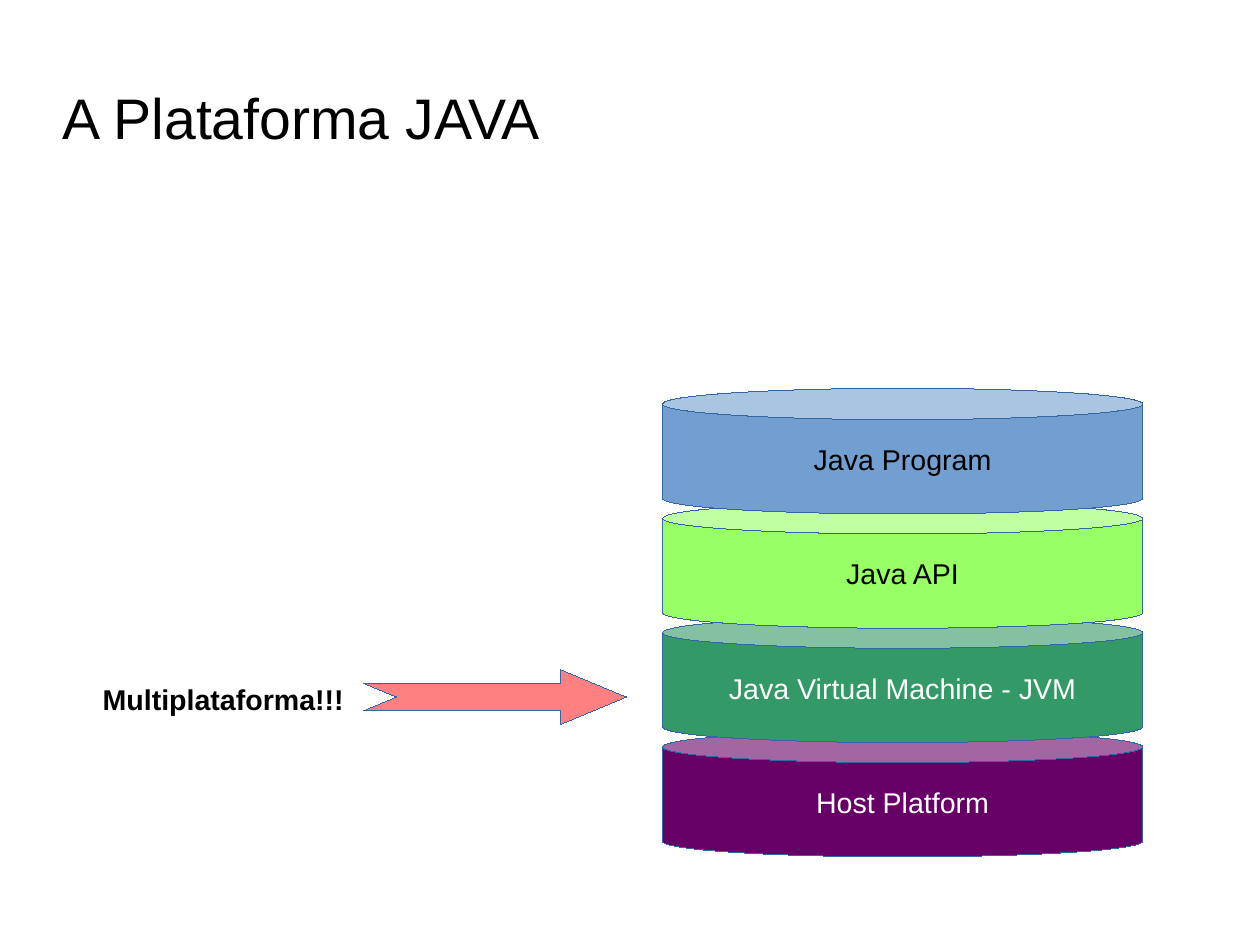
from pptx import Presentation
from pptx import util as u
from pptx.dml.color import RGBColor
from pptx.enum import shapes, text

FONT = "Arial"
OUTLINE = "3465A4"
HAIRLINE = 0.01
LAYERS = [
    ("Java Program", "729FCF", "000000"),
    ("Java API", "99FF66", "000000"),
    ("Java Virtual Machine - JVM", "339966", "FFFFFF"),
    ("Host Platform", "660066", "FFFFFF"),
]


def color(value):
    return RGBColor.from_string(value)


def points(*lengths):
    return [u.Pt(length) for length in lengths]


def set_attributes(target, values):
    for name, value in values.items():
        setattr(target, name, value)


def write_text(shape, content, size, ink, bold=False, frame=None, align=text.PP_ALIGN.LEFT):
    set_attributes(shape.text_frame, {"word_wrap": True, **(frame or {})})
    paragraph = shape.text_frame.paragraphs[0]
    paragraph.text = content
    paragraph.alignment = align
    set_attributes(paragraph.font, {"name": FONT, "size": u.Pt(size), "bold": bold})
    paragraph.font.color.rgb = color(ink)


def add_filled_shape(slide, kind, box, fill, adjustments):
    shape = slide.shapes.add_shape(kind, *points(*box))
    shape.shadow.inherit = False
    shape.fill.solid()
    shape.fill.fore_color.rgb = color(fill)
    shape.line.color.rgb = color(OUTLINE)
    shape.line.width = u.Pt(HAIRLINE)
    for index, value in enumerate(adjustments):
        shape.adjustments[index] = value
    return shape


def add_title(slide, box):
    title = slide.shapes.add_textbox(*points(*box))
    margins = {f"margin_{side}": 0 for side in ("left", "top", "right", "bottom")}
    frame = {"vertical_anchor": text.MSO_ANCHOR.MIDDLE, **margins}
    write_text(title, "A Plataforma JAVA", 36, "000000", frame=frame)


def add_layer_stack(slide, box, layer_height):
    left, top, width, height = box
    step = (height - layer_height) / (len(LAYERS) - 1)
    frame = {"vertical_anchor": text.MSO_ANCHOR.MIDDLE, "word_wrap": False}
    for index, (name, fill, ink) in reversed(list(enumerate(LAYERS))):
        layer_box = (left, top + index * step, width, layer_height)
        layer = add_filled_shape(slide, shapes.MSO_SHAPE.CAN, layer_box, fill, [0.25])
        write_text(layer, name, 18, ink, frame=frame, align=text.PP_ALIGN.CENTER)


def add_callout(slide, box):
    left, top, width, height = box
    arrow_width = 165.6
    label = slide.shapes.add_textbox(*points(left, top + 4.3, width - arrow_width, 27.4))
    write_text(label, "Multiplataforma!!!", 18, "000000", bold=True)
    arrow_box = (left + width - arrow_width, top, arrow_width, height)
    add_filled_shape(slide, shapes.MSO_SHAPE.NOTCHED_RIGHT_ARROW, arrow_box, "FF8080", [0.5, 1.2])


def main():
    presentation = Presentation()
    presentation.slide_width, presentation.slide_height = points(793.75, 595.25)
    slide = presentation.slides.add_slide(presentation.slide_layouts[6])
    add_title(slide, (39.6, 45, 566.6, 56.9))
    add_layer_stack(slide, (417.4, 244.6, 302.4, 295.2), 79.2)
    add_callout(slide, (57.6, 421.7, 337, 34.6))
    presentation.save("out.pptx")


if __name__ == "__main__":
    main()
